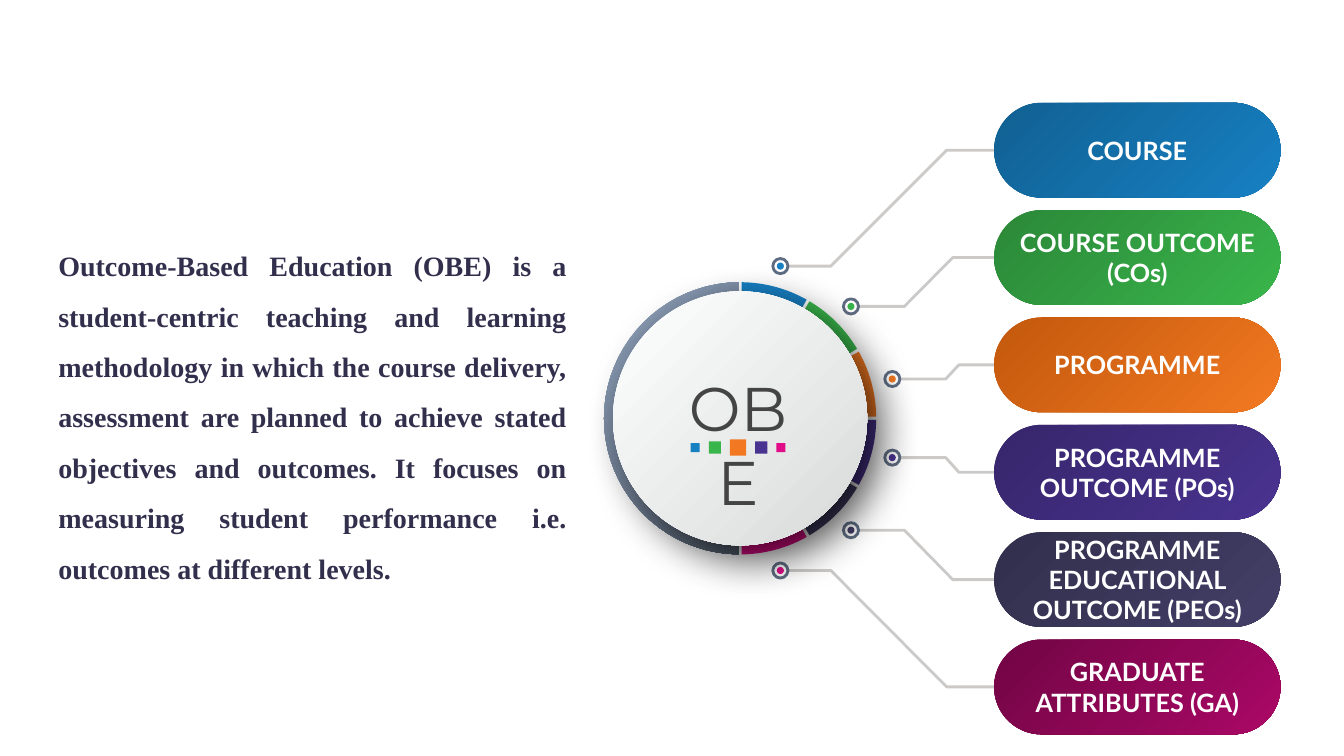
import copy
import math
import lxml.etree
import pptx
import pptx.dml.color
import pptx.enum.shapes
import pptx.enum.text
import pptx.oxml.ns
import pptx.util

Inches = pptx.util.Inches
Pt = pptx.util.Pt
RGBColor = pptx.dml.color.RGBColor
KIND = pptx.enum.shapes.MSO_SHAPE
ALIGN = pptx.enum.text.PP_ALIGN
MIDDLE = pptx.enum.text.MSO_ANCHOR.MIDDLE
qn = pptx.oxml.ns.qn

WHITE = RGBColor(0xFF, 0xFF, 0xFF)
BLACK = RGBColor(0x00, 0x00, 0x00)
INK = RGBColor(0x32, 0x2F, 0x4D)
GREY = RGBColor(0x44, 0x44, 0x44)
WIRE = RGBColor(0xCC, 0xCA, 0xC8)
RIM = RGBColor(0x5E, 0x6C, 0x82)
BLUE = RGBColor(0x17, 0x80, 0xC3)
GREEN = RGBColor(0x39, 0xB5, 0x4B)
ORANGE = RGBColor(0xF2, 0x79, 0x22)
PURPLE = RGBColor(0x49, 0x33, 0x90)
NAVY = RGBColor(0x43, 0x3E, 0x66)
PINK = RGBColor(0xE2, 0x0B, 0x88)
HUES = [BLUE, GREEN, ORANGE, PURPLE, NAVY, PINK]
STEEL = [RGBColor(0x54, 0x5F, 0x6E), RGBColor(0x78, 0x87, 0x9D), RGBColor(0x8E, 0xA1, 0xBA)]
DISC = [RGBColor(0xFE, 0xFF, 0xFF), RGBColor(0xD8, 0xD9, 0xD9)]

# label, start and end of the fill
PILLS = [
    ("COURSE", RGBColor(0x11, 0x60, 0x92), BLUE),
    ("COURSE OUTCOME (COs)", RGBColor(0x2B, 0x88, 0x38), GREEN),
    ("PROGRAMME", RGBColor(0xC3, 0x58, 0x0C), ORANGE),
    ("PROGRAMME OUTCOME (POs)", RGBColor(0x37, 0x26, 0x6C), PURPLE),
    ("PROGRAMME EDUCATIONAL OUTCOME (PEOs)", INK, NAVY),
    ("GRADUATE ATTRIBUTES (GA)", RGBColor(0x71, 0x05, 0x44), RGBColor(0xAA, 0x08, 0x66)),
]
# dot centre from the hub (across, up), then both bends of its wire
WIRES = [(0.4, 1.51, 0.9, 2.05), (1.1, 1.11, 1.63, 2.11), (1.51, 0.39, 2.04, 2.17)]
ABOUT = (
    "Outcome-Based Education (OBE) is a student-centric teaching and learning "
    "methodology in which the course delivery, assessment are planned to achieve "
    "stated objectives and outcomes. It focuses on measuring student performance "
    "i.e. outcomes at different levels."
)

PILL_FONT = {"name": "Lato", "size": Pt(18), "bold": True}
MARK_FONT = {"name": "Montserrat", "size": Pt(44)}
BODY_FONT = {"name": "Times New Roman", "size": Pt(20), "bold": True}
FLUSH = {"margin_left": 0, "margin_right": 0, "margin_top": 0, "margin_bottom": 0}


def put(item, vals):
    for key, val in vals.items():
        setattr(item, key, val)


def paint(shape, fill=None, line=None):
    shape.shadow.inherit = False
    if fill is None:
        shape.fill.background()
    else:
        shape.fill.solid()
        shape.fill.fore_color.rgb = fill
    if line is None:
        shape.line.fill.background()
    else:
        shape.line.color.rgb = line
        shape.line.width = Pt(2)


def blend(shape, first, last):
    """Fill with a gradient from top left to bottom right."""
    shape.fill.gradient()
    shape.fill.gradient_angle = 315
    for stop, hue in zip(shape.fill.gradient_stops, (first, last)):
        stop.color.rgb = hue


def glow(shape, hues):
    """Fill with three hues that spread from the bottom right corner."""
    blend(shape, hues[0], hues[2])
    grad = shape.element.spPr.find(qn("a:gradFill"))
    stops = grad.find(qn("a:gsLst"))
    stops.insert(1, copy.deepcopy(stops[0]))
    stops[1].set("pos", "50000")
    shape.fill.gradient_stops[1].color.rgb = hues[1]
    way = lxml.etree.Element(qn("a:path"), path="circle")
    lxml.etree.SubElement(way, qn("a:fillToRect"), l="100000", t="100000")
    grad.replace(grad.find(qn("a:lin")), way)


def shade(shape):
    """Cast a soft shadow to the bottom right."""
    fx = shape.element.spPr.find(qn("a:effectLst"))
    cast = lxml.etree.SubElement(
        fx, qn("a:outerShdw"), blurRad=str(Pt(30)), dist=str(Pt(14)),
        dir="2700000", algn="tl", rotWithShape="0")
    tone = lxml.etree.SubElement(cast, qn("a:srgbClr"), val=str(BLACK))
    lxml.etree.SubElement(tone, qn("a:alpha"), val="70000")


def shape_at(slide, kind, mid, size, fill=None, line=None):
    """Add a preset shape around its centre."""
    wide, high = size
    shape = slide.shapes.add_shape(
        kind, Inches(mid[0] - wide / 2), Inches(mid[1] - high / 2),
        Inches(wide), Inches(high))
    paint(shape, fill, line)
    return shape


def trace(slide, dots, close):
    dots = [(Inches(x), Inches(y)) for x, y in dots]
    pen = slide.shapes.build_freeform(*dots[0])
    pen.add_line_segments(dots[1:], close=close)
    return pen.convert_to_shape()


def write(frame, text, font, hue, align, frame_vals):
    put(frame, {"word_wrap": True, **frame_vals})
    para = frame.paragraphs[0]
    para.alignment = align
    run = para.add_run()
    run.text = text
    put(run.font, font)
    run.font.color.rgb = hue
    return para


def text_box(slide, box):
    return slide.shapes.add_textbox(*map(Inches, box)).text_frame


def add_wires(slide, hub, ends, edge):
    """Join the dots around the hub to the pills, whose middles are in ends."""
    across, down = hub
    rows = [(wire, -1) for wire in WIRES] + [(wire, 1) for wire in WIRES[::-1]]
    for (dx, dy, near, far), side in rows:
        mid = (across + dx, down + side * dy)
        end = ends[len(ends) // 2 + (side - 1) // 2 + side * WIRES[::-1].index((dx, dy, near, far))]
        hue = HUES[ends.index(end)]
        wire = trace(slide, [(mid[0] + 0.07, mid[1]), (across + near, mid[1]),
                             (across + far, end), (edge, end)], False)
        paint(wire, line=WIRE)
        shape_at(slide, KIND.OVAL, mid, (0.15, 0.15), line=RIM)
        shape_at(slide, KIND.OVAL, mid, (0.07, 0.07), hue)


def add_pills(slide, box, mids):
    left, _, wide, high = box
    for (text, first, last), mid in zip(PILLS, mids):
        pill = shape_at(slide, KIND.ROUNDED_RECTANGLE, (left + wide / 2, mid), (wide, high))
        pill.adjustments[0] = 0.5
        blend(pill, first, last)
        sides = {"margin_left": Inches(0.07), "margin_right": Inches(0.07)}
        write(pill.text_frame, text, PILL_FONT, WHITE, ALIGN.CENTER,
              {**FLUSH, **sides, "vertical_anchor": MIDDLE})


def add_slice(slide, hub, size, start, stop):
    """Add a slice of the ring; angles run clockwise from the top."""
    steps = 40
    dots = [hub]
    for step in range(steps + 1):
        turn = math.radians(start + 0.7 + (stop - start - 1.4) * step / steps)
        dots.append((hub[0] + size * math.sin(turn), hub[1] - size * math.cos(turn)))
    part = trace(slide, dots, True)
    paint(part)
    return part


def add_ring(slide, hub, size):
    for num, hue in enumerate(HUES):
        paint(add_slice(slide, hub, size, 30 * num, 30 * num + 30), hue)
    glow(add_slice(slide, hub, size, 180, 360), STEEL)
    disc = shape_at(slide, KIND.OVAL, hub, (2 * size - 0.18, 2 * size - 0.18))
    blend(disc, *DISC)
    shade(disc)


def add_mark(slide, box):
    left, top, wide, _ = box
    write(text_box(slide, box), "OBE", MARK_FONT, GREY, ALIGN.CENTER, FLUSH)
    sizes = [0.09, 0.12, 0.16, 0.12, 0.09]
    gap = 0.09
    x = left + (wide - sum(sizes) - 4 * gap) / 2
    for size, hue in zip(sizes, [BLUE, GREEN, ORANGE, PURPLE, PINK]):
        shape_at(slide, KIND.RECTANGLE, (x + size / 2, top + 0.77), (size, size), hue)
        x += size + gap


def add_about(slide, box):
    para = write(text_box(slide, box), ABOUT, BODY_FONT, INK, ALIGN.JUSTIFY,
                 {"vertical_anchor": MIDDLE})
    para.line_spacing = 1.5


def main():
    deck = pptx.Presentation()
    put(deck, {"slide_width": Inches(13.33), "slide_height": Inches(7.5)})
    slide = deck.slides.add_slide(deck.slide_layouts[6])
    hub = (7.34, 4.15)
    pill = (9.86, 1.02, 2.84, 0.94)
    mids = [pill[1] + pill[3] / 2 + 1.065 * num for num in range(len(PILLS))]
    add_wires(slide, hub, mids, pill[0] + 0.04)
    add_pills(slide, pill, mids)
    add_ring(slide, hub, 1.35)
    add_mark(slide, (6.67, 3.67, 1.3, 0.74))
    add_about(slide, (0.48, 2.23, 5.24, 3.64))
    deck.save("out.pptx")


if __name__ == "__main__":
    main()
